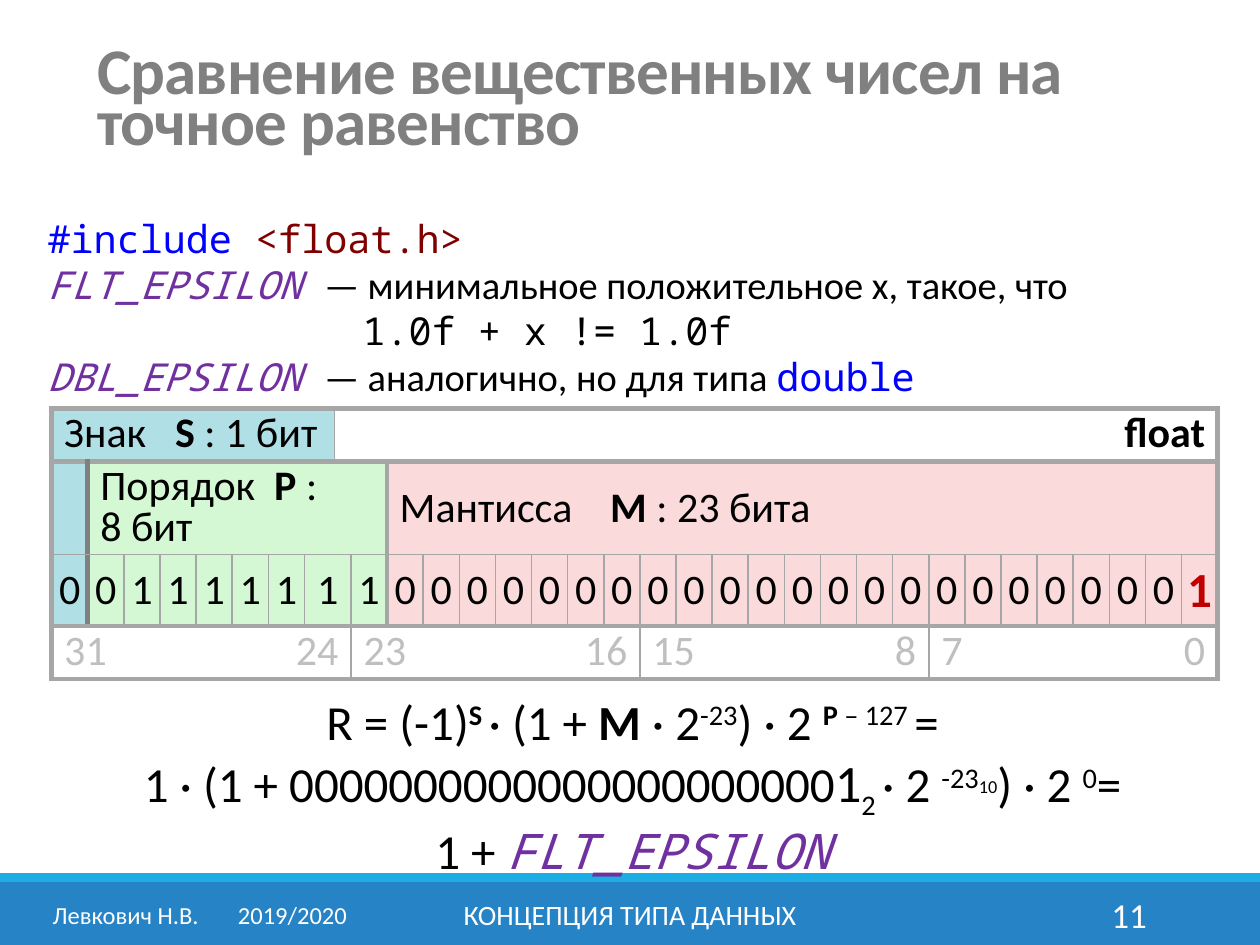
from dataclasses import dataclass, field

from lxml import etree
from pptx import Presentation
from pptx.dml.color import RGBColor
from pptx.enum.shapes import MSO_SHAPE
from pptx.enum.text import MSO_ANCHOR, MSO_AUTO_SIZE, PP_ALIGN
from pptx.oxml.ns import qn
from pptx.util import Inches, Pt

LEFT, CENTER, RIGHT = PP_ALIGN.LEFT, PP_ALIGN.CENTER, PP_ALIGN.RIGHT
TOP, MIDDLE = MSO_ANCHOR.TOP, MSO_ANCHOR.MIDDLE
RECTANGLE = MSO_SHAPE.RECTANGLE
NO_AUTOFIT = MSO_AUTO_SIZE.NONE

COLORS = {
    "footer": "2683C6", "stripe": "1CADE4", "white": "FFFFFF", "black": "000000",
    "title": "808080", "keyword": "0000FF", "header": "800000", "constant": "7030A0",
    "sign": "B0E0E6", "exponent": "D4F8D4", "mantissa": "FADADA",
    "border": "A6A6A6", "dark border": "808080", "bit number": "BFBFBF", "last bit": "C00000",
}
TEXT_FONT, CODE_FONT = "Calibri", "Noto Sans Mono"
THIN, THICK = 1, 3

# Table geometry: equal bit columns, with one of them cut in two by the header
TABLE_WIDTH = 9.24
SPLIT_COLUMNS = [0.22, 0.13]
BIT_WIDTH = (TABLE_WIDTH - sum(SPLIT_COLUMNS)) / 31
COLUMN_WIDTHS = [BIT_WIDTH] * 7 + SPLIT_COLUMNS + [BIT_WIDTH] * 24
ROW_HEIGHTS = [0.42, 0.74, 0.56, 0.42]
ROW_BORDERS = [THICK, THICK, THIN, THICK, THICK]


@dataclass
class Run:
    text: str
    style: dict = field(default_factory=dict)


@dataclass
class Line:
    runs: list[Run]
    align: PP_ALIGN = LEFT
    spacing: object = None
    tab: float | None = None


@dataclass
class Field:
    runs: list[Run]
    span: int = 1
    fill: str | None = None
    left: int = THIN
    right: int = THIN
    align: PP_ALIGN = LEFT
    spacing: float | None = 0.8
    tab: float | None = None
    margin: float = 0.1
    left_color: str = "border"
    right_color: str = "border"


def add_run(paragraph, text: str, *, size: float = 24, font: str = TEXT_FONT,
            color: str = "black", bold: bool = False, italic: bool = False,
            baseline: int = 0, tracking: float = 0) -> None:
    for index, piece in enumerate(text.split("\n")):
        if index:
            paragraph.add_line_break()
        run = paragraph.add_run()
        run.text = piece
        run.font.size, run.font.name = Pt(size), font
        run.font.bold, run.font.italic = bold, italic
        run.font.color.rgb = RGBColor.from_string(COLORS[color])
        properties = run.font._element
        if baseline:
            properties.set("baseline", str(baseline * 1000))
        if tracking:
            properties.set("spc", str(int(tracking * 100)))


def write_lines(frame, lines: list[Line], **shared) -> None:
    for index, line in enumerate(lines):
        paragraph = frame.add_paragraph() if index else frame.paragraphs[0]
        paragraph.alignment = line.align
        if line.spacing:
            paragraph.line_spacing = line.spacing
        if line.tab:
            tabs = etree.SubElement(paragraph._p.get_or_add_pPr(), qn("a:tabLst"))
            etree.SubElement(tabs, qn("a:tab"), pos=str(Inches(line.tab)), algn="l")
        for run in line.runs:
            add_run(paragraph, run.text, **(shared | run.style))


def add_text(slide, box: tuple, lines: list[Line], anchor=TOP, **shared):
    shape = slide.shapes.add_textbox(*map(Inches, box))
    shape.text_frame.word_wrap = True
    shape.text_frame.vertical_anchor = anchor
    write_lines(shape.text_frame, lines, **shared)
    return shape


def add_bar(slide, top: float, height: float, color: str) -> None:
    bar = slide.shapes.add_shape(RECTANGLE, 0, Inches(top), Inches(10), Inches(height))
    bar.shadow.inherit = False
    bar.fill.solid()
    bar.fill.fore_color.rgb = RGBColor.from_string(COLORS[color])
    bar.line.fill.background()


def set_border(cell, side: str, width: int, color: str) -> None:
    line = etree.SubElement(cell._tc.get_or_add_tcPr(), qn(f"a:ln{side}"), w=str(Pt(width)))
    if width:
        fill = etree.SubElement(line, qn("a:solidFill"))
        etree.SubElement(fill, qn("a:srgbClr"), val=COLORS[color])
    else:
        etree.SubElement(line, qn("a:noFill"))


def draw_field(table, row: int, column: int, item: Field) -> None:
    cell = table.cell(row, column)
    if item.span > 1:
        cell.merge(table.cell(row, column + item.span - 1))
    cell.vertical_anchor = MIDDLE
    cell.margin_left = cell.margin_right = Inches(item.margin)
    set_border(cell, "L", item.left, item.left_color)
    set_border(cell, "R", item.right, item.right_color)
    set_border(cell, "T", ROW_BORDERS[row], "border")
    set_border(cell, "B", ROW_BORDERS[row + 1], "border")
    if item.fill:
        cell.fill.solid()
        cell.fill.fore_color.rgb = RGBColor.from_string(COLORS[item.fill])
    else:
        cell.fill.background()
    write_lines(cell.text_frame, [Line(item.runs, item.align, item.spacing, item.tab)])


def bit_fields() -> list[Field]:
    bits = "0" + "01111111" + "0" * 22 + "1"
    fields = []
    for index, bit in enumerate(bits):
        part = "sign" if index == 0 else "exponent" if index < 9 else "mantissa"
        fields.append(Field([Run(bit)], fill=part, align=CENTER, spacing=None, margin=0.04,
                            left=THICK if index in (0, 1, 9) else THIN,
                            right=THICK if index in (0, 8, 31) else THIN))
    fields[0].right_color = fields[1].left_color = "dark border"
    fields[7].span = 2
    fields[-1].runs[0].style = {"size": 28, "bold": True, "color": "last bit"}
    return fields


def byte_fields() -> list[Field]:
    fields = []
    for high in (31, 23, 15, 7):
        low = high - 7
        gray = {"color": "bit number"}
        fields.append(Field([Run(str(high), gray)], 4, right=0, left=THICK if high == 31 else THIN))
        fields.append(Field([Run(str(low), gray)], 5 if high == 31 else 4, left=0, align=RIGHT,
                            right=THICK if low == 0 else THIN))
    return fields


def add_float_table(slide) -> None:
    bold = {"bold": True}
    rows = [
        [Field([Run("Знак\t"), Run("S ", bold), Run(": 1 бит")], 8, "sign", THICK, tab=0.88),
         Field([Run("float", bold)], 25, right=THICK, align=RIGHT)],
        [Field([], 1, "sign", THICK, THICK, right_color="dark border"),
         Field([Run("Порядок\t"), Run("P", bold), Run(" :\n8 бит")], 9, "exponent",
               THICK, THICK, tab=1.38, left_color="dark border"),
         Field([Run("Мантисса\t"), Run("M ", bold), Run(": 23 бита")], 23, "mantissa",
               THICK, THICK, spacing=None, tab=1.67)],
        bit_fields(),
        byte_fields(),
    ]
    box = (0.41, 3.24, TABLE_WIDTH, sum(ROW_HEIGHTS))
    table = slide.shapes.add_table(len(rows), len(COLUMN_WIDTHS), *map(Inches, box)).table
    table.first_row = table.horz_banding = False
    for column, width in zip(table.columns, COLUMN_WIDTHS):
        column.width = Inches(width)
    for row, fields in enumerate(rows):
        table.rows[row].height = Inches(ROW_HEIGHTS[row])
        column = 0
        for item in fields:
            draw_field(table, row, column, item)
            column += item.span


def main() -> None:
    presentation = Presentation()
    presentation.slide_width, presentation.slide_height = Inches(10), Inches(7.5)
    slide = presentation.slides.add_slide(presentation.slide_layouts[5])

    # Footer
    add_bar(slide, 7, 0.5, "footer")
    add_bar(slide, 6.93, 0.07, "stripe")
    add_text(slide, (3.02, 7.06, 3.96, 0.4), [Line([Run("КОНЦЕПЦИЯ ТИПА ДАННЫХ")], CENTER)],
             MIDDLE, size=16, color="white")
    add_text(slide, (8.12, 7.06, 1.08, 0.4), [Line([Run("11")], RIGHT)],
             MIDDLE, size=20, color="white")
    add_text(slide, (0.32, 7.06, 2.61, 0.4), [Line([Run("Левкович Н.В.\t2019/2020")], tab=1.47)],
             MIDDLE, size=14, color="white")

    # Title
    title = slide.shapes.title
    title.left, title.top, title.width, title.height = map(Inches, (0.67, 0.36, 8.84, 0.94))
    title.text_frame.auto_size = NO_AUTOFIT
    title.text_frame.vertical_anchor = MIDDLE
    write_lines(title.text_frame,
                [Line([Run("Сравнение вещественных чисел на точное равенство")], spacing=0.65)],
                size=37.2, color="title", bold=True, tracking=-0.5)

    # Definitions of the constants
    code = {"font": CODE_FONT}
    keyword = code | {"color": "keyword"}
    constant = code | {"color": "constant", "italic": True}
    definitions = [
        [Run("#include", keyword), Run(" ", code), Run("<float.h>", code | {"color": "header"})],
        [Run("FLT_EPSILON ", constant), Run("— минимальное положительное х, такое, что\n\t"),
         Run("1.0f + x != 1.0f", code)],
        [Run("DBL_EPSILON ", constant), Run("— аналогично, но для типа "), Run("double", keyword)],
    ]
    box = add_text(slide, (0.28, 1.62, 9.37, 1.58),
                   [Line(runs, spacing=Pt(26.3), tab=2.5) for runs in definitions], size=22)
    box.text_frame.margin_top = Inches(0.09)

    add_float_table(slide)

    # Value of the number
    bold, upper, lower = {"bold": True}, {"baseline": 30}, {"baseline": -25}
    formulas = [
        [Run("R = (-1)"), Run("S ", bold | upper), Run("· (1 + "), Run("M ", bold), Run("· 2"),
         Run("-23", upper), Run(") · 2 "), Run("P", bold | upper), Run(" – 127 ", upper), Run("=")],
        [Run("1 · (1 + 0000000000000000000000"), Run("1", {"size": 30}), Run("2 ", lower),
         Run("· 2 "), Run("-23", upper), Run("10", upper | {"size": 18}), Run(") · 2 "),
         Run("0", upper), Run("=")],
        [Run("1 + "), Run("FLT_EPSILON", constant)],
    ]
    add_text(slide, (0.02, 5.44, 10, 1.55), [Line(runs, CENTER) for runs in formulas], size=28)

    presentation.save("out.pptx")


if __name__ == "__main__":
    main()
